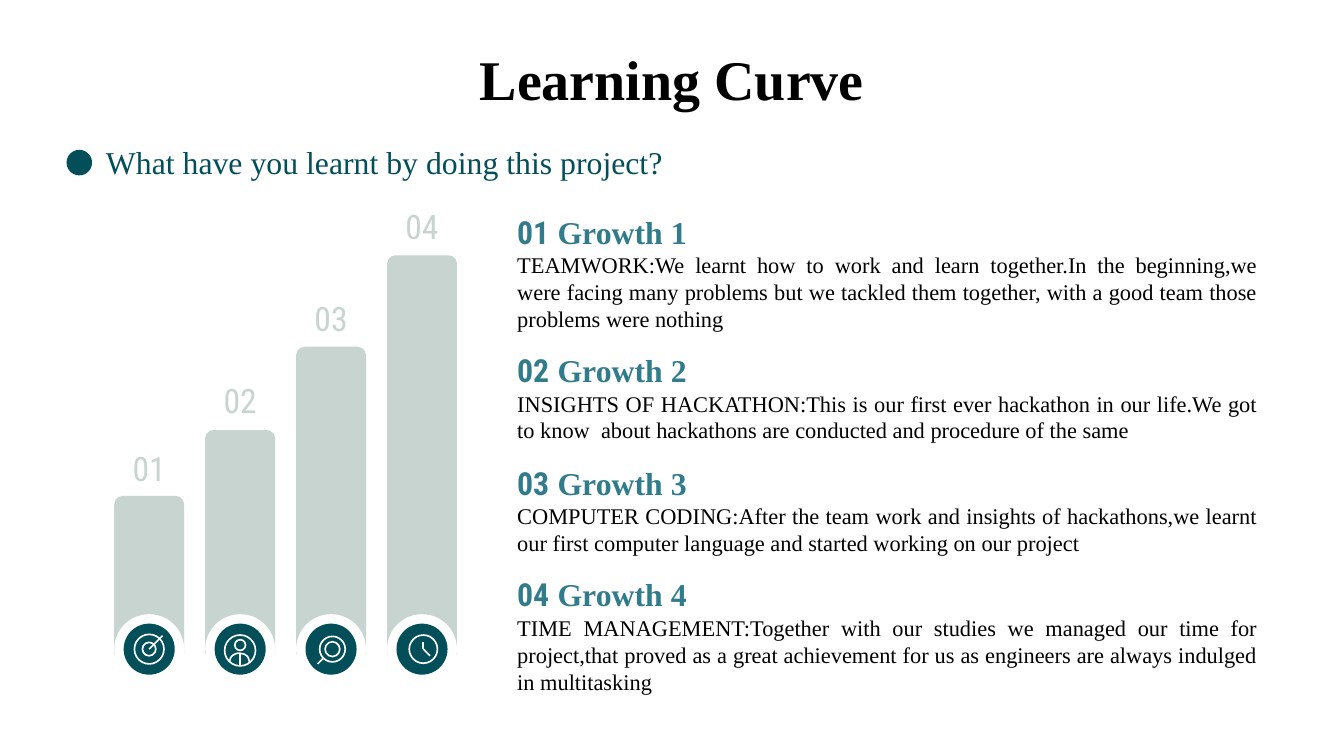
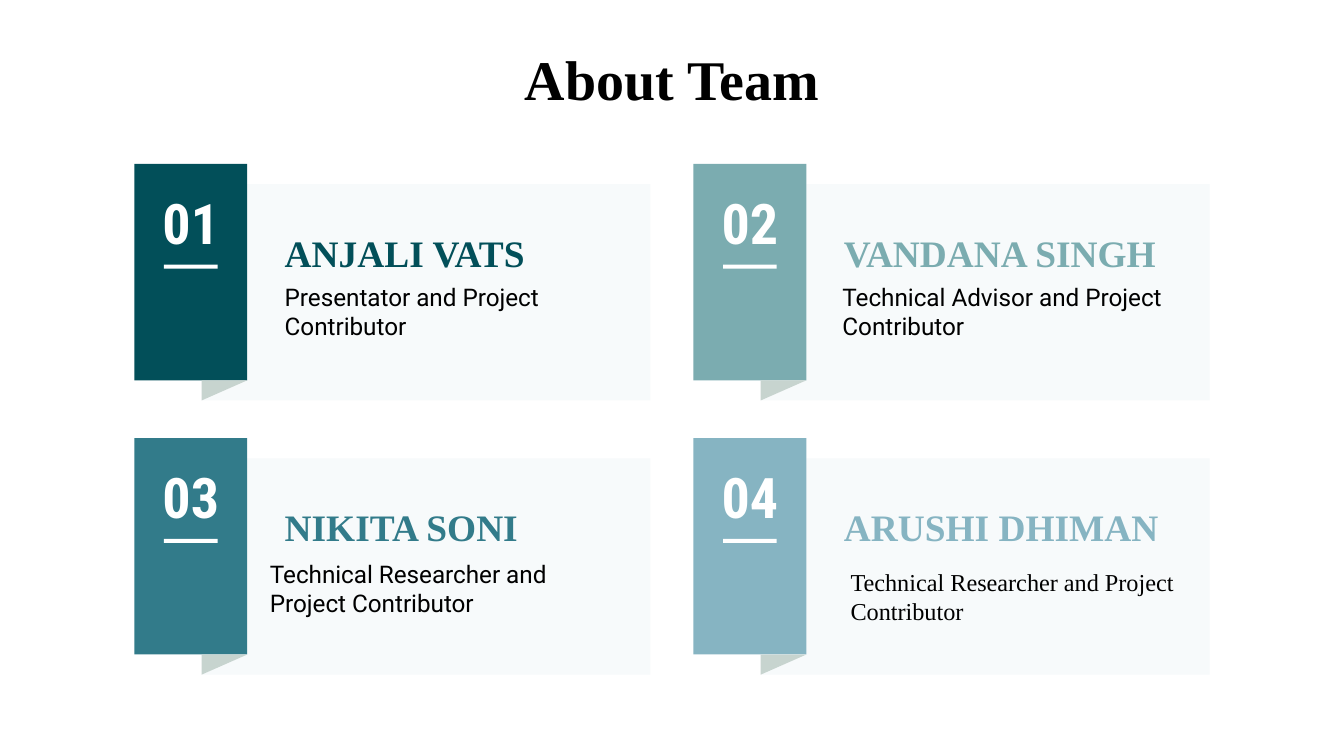
from lxml import etree
from pptx import Presentation
from pptx.dml.color import RGBColor
from pptx.enum.shapes import MSO_CONNECTOR, MSO_SHAPE
from pptx.enum.text import MSO_ANCHOR, PP_ALIGN as ALIGN
from pptx.oxml.ns import qn
from pptx.util import Inches, Pt

WIDTH = Inches(10)
HEIGHT = WIDTH * 9 // 16
SERIF, SANS, CONDENSED = "Times New Roman", "Roboto", "Roboto Condensed"
BLACK, WHITE, DARK, TEAL = "000000", "FFFFFF", "024F59", "327B8A"
SAGE, MIST, PALE, SKY = "C7D4CF", "F7FAFB", "7BACB0", "86B4C2"

QUESTION = "What have you learnt by doing this project?"
GROWTHS = [
    ("TEAMWORK:We learnt how to work and learn together.In the beginning,we were facing "
     "many problems but we tackled them together, with a good team those problems were nothing", 1.48),
    ("INSIGHTS OF HACKATHON:This is our first ever hackathon in our life.We got to know  about "
     "hackathons are conducted and procedure of the same", 2.51),
    ("COMPUTER CODING:After the team work and insights of hackathons,we learnt our first "
     "computer language and started working on our project", 3.35),
    ("TIME MANAGEMENT:Together with our studies we managed our time for project,that proved as a "
     "great achievement for us as engineers are always indulged in multitasking", 4.18),
]
BARS = [(3.69, 3.23), (3.2, 2.73), (2.58, 2.12), (1.9, 1.43)]
BAR_LEFT, BAR_RIGHT, BAR_WIDTH, BAR_BOTTOM = 0.85, 2.88, 0.52, 4.87
BAR_STEP = (BAR_RIGHT - BAR_LEFT) / (len(BARS) - 1)
ICON_Y = 4.83
ICONS = [
    {"rings": [(0, 0, 0.22), (0, 0, 0.1)], "lines": [(0, 0, 0.1, -0.1)]},
    {"rings": [(0, -0.03, 0.08), (0, 0.01, 0.23)], "lines": [(0, 0.12, 0, 0.03)],
     "shoulders": (-0.08, 0.03, 0.15, 0.13)},
    {"rings": [(0.01, 0, 0.19), (0.01, 0, 0.11)], "lines": [(-0.1, 0.11, -0.06, 0.07)]},
    {"rings": [(0.01, 0, 0.21)], "lines": [(0.01, 0, 0.06, 0.05), (0.01, -0.05, 0.01, 0)]},
]

TEAM = [
    ("ANJALI VATS", "Presentator and Project Contributor", DARK, SANS, 1.02, 0.78),
    ("VANDANA SINGH", "Technical Advisor and Project Contributor", PALE, SANS, 1.01, 0.78),
    ("NIKITA SONI", "Technical Researcher and Project Contributor", TEAL, SANS, 0.91, 0.8),
    ("ARUSHI DHIMAN", "Technical Researcher and Project Contributor", SKY, SERIF, 1.07, 0.86),
]
CARD_LEFT, CARD_TOP, CARD_STEP_X, CARD_STEP_Y = 1, 1.22, 4.16, 2.04
TAB_WIDTH, TAB_HEIGHT, FOLD_HEIGHT = 0.84, 1.61, 0.15


def color(value):
    return RGBColor.from_string(value)


def paint(shape, fill=None, line=None):
    shape.shadow.inherit = False
    if fill:
        shape.fill.solid()
        shape.fill.fore_color.rgb = color(fill)
    else:
        shape.fill.background()
    if line:
        shape.line.color.rgb = color(line)
        shape.line.width = Pt(0.88)
    else:
        shape.line.fill.background()
    return shape


def draw(shapes, kind, box, fill=None, line=None):
    return paint(shapes.add_shape(kind, *map(Inches, box)), fill, line)


def draw_disc(shapes, x, y, size, fill=None, line=None):
    return draw(shapes, MSO_SHAPE.OVAL, (x - size / 2, y - size / 2, size, size), fill, line)


def draw_outline(shapes, points, fill):
    corners = [(Inches(x), Inches(y)) for x, y in points]
    builder = shapes.build_freeform(*corners[0], scale=1.0)
    builder.add_line_segments(corners[1:], close=True)
    return paint(builder.convert_to_shape(), fill)


def draw_line(shapes, start, end):
    connector = shapes.add_connector(MSO_CONNECTOR.STRAIGHT, *map(Inches, start + end))
    connector.line.color.rgb = color(WHITE)
    connector.line.width = Pt(0.88)
    etree.SubElement(connector.element.spPr, qn("a:effectLst"))


def write(frame, text, size, font, ink, bold=False, align=ALIGN.LEFT):
    frame.word_wrap = True
    frame.margin_left = frame.margin_right = Inches(0.1)
    frame.margin_top = frame.margin_bottom = Inches(0.1)
    frame.vertical_anchor = MSO_ANCHOR.TOP
    paragraph = frame.paragraphs[0]
    paragraph.text = text
    paragraph.alignment = align
    paragraph.font.size = Pt(size)
    paragraph.font.name = font
    paragraph.font.bold = bold
    paragraph.font.color.rgb = color(ink)


def add_text(shapes, box, *style, **options):
    write(shapes.add_textbox(*map(Inches, box)).text_frame, *style, **options)


def add_titled_slide(presentation, text):
    slide = presentation.slides.add_slide(presentation.slide_layouts[5])
    title = slide.shapes.title
    title.left, title.top, title.width, title.height = map(Inches, (2.53, 0.23, 4.94, 0.68))
    write(title.text_frame, text, 30, SERIF, BLACK, bold=True, align=ALIGN.CENTER)
    return slide


def add_icon(shapes, x, icon):
    draw_disc(shapes, x, ICON_Y, 0.52, WHITE)
    draw_disc(shapes, x, ICON_Y, 0.38, DARK)
    for dx, dy, size in icon["rings"]:
        draw_disc(shapes, x + dx, ICON_Y + dy, size, line=WHITE)
    for x1, y1, x2, y2 in icon["lines"]:
        draw_line(shapes, (x + x1, ICON_Y + y1), (x + x2, ICON_Y + y2))
    if "shoulders" in icon:
        dx, dy, width, height = icon["shoulders"]
        arc = draw(shapes, MSO_SHAPE.ARC, (x + dx, ICON_Y + dy, width, height), line=WHITE)
        arc.adjustments[0], arc.adjustments[1] = 108, 0


def add_growth(shapes, number, text, top):
    add_text(shapes, (3.75, top, 0.44, 0.46), f"{number:02}", 17, CONDENSED, TEAL, bold=True)
    add_text(shapes, (4.05, top, 2.19, 0.46), f"Growth {number}", 17, SERIF, TEAL, bold=True)
    add_text(shapes, (3.75, top + 0.29, 5.71, 0.5), text, 12, SERIF, BLACK, align=ALIGN.JUSTIFY)


def build_learning(presentation):
    slide = add_titled_slide(presentation, "Learning Curve")
    shapes = slide.shapes
    draw_disc(shapes, 0.59, 1.21, 0.19, DARK)
    add_text(shapes, (0.69, 0.96, 6.54, 0.46), QUESTION, 17, SERIF, DARK)
    for index, ((top, label_top), icon) in enumerate(zip(BARS, ICONS)):
        left = BAR_LEFT + index * BAR_STEP
        bar = draw(shapes, MSO_SHAPE.ROUND_2_SAME_RECTANGLE,
                   (left, top, BAR_WIDTH, BAR_BOTTOM - top), SAGE)
        bar.adjustments[0] = 0.12
        add_icon(shapes, left + BAR_WIDTH / 2, icon)
        add_text(shapes, (left, label_top, BAR_WIDTH, 0.38), f"{index + 1:02}",
                 18, CONDENSED, SAGE, align=ALIGN.CENTER)
    for number, (text, top) in enumerate(GROWTHS, 1):
        add_growth(shapes.add_group_shape().shapes, number, text, top)


def add_member(shapes, index, name, role, accent, role_font, role_dx, role_dy):
    row, column = divmod(index, 2)
    left, top = CARD_LEFT + column * CARD_STEP_X, CARD_TOP + row * CARD_STEP_Y
    tab, fold, right = left + TAB_WIDTH, left + 0.5, left + 3.84
    tab_bottom = top + TAB_HEIGHT
    bottom = tab_bottom + FOLD_HEIGHT
    draw_outline(shapes, [(tab, top + FOLD_HEIGHT), (tab, tab_bottom), (fold, bottom),
                          (right, bottom), (right, top + FOLD_HEIGHT)], MIST)
    draw(shapes, MSO_SHAPE.RECTANGLE, (left, top, TAB_WIDTH, TAB_HEIGHT), accent)
    draw_outline(shapes, [(fold, tab_bottom), (fold, bottom), (tab, tab_bottom)], SAGE)
    add_text(shapes, (left, top + 0.08, TAB_WIDTH, 0.83), f"{index + 1:02}", 30, CONDENSED, WHITE,
             bold=True, align=ALIGN.CENTER)
    draw(shapes, MSO_SHAPE.RECTANGLE, (left + 0.22, top + 0.75, 0.4, 0.03), WHITE)
    add_text(shapes, (left + 1.02, top + 0.39, 2.65, 0.46), name, 20, SERIF, accent, bold=True)
    add_text(shapes, (left + role_dx, top + role_dy, 2.65, 0.64), role, 13, role_font, BLACK)


def build_team(presentation):
    slide = add_titled_slide(presentation, "About Team")
    for index, member in enumerate(TEAM):
        add_member(slide.shapes.add_group_shape().shapes, index, *member)


def main():
    presentation = Presentation()
    presentation.slide_width, presentation.slide_height = WIDTH, HEIGHT
    build_learning(presentation)
    build_team(presentation)
    presentation.save("out.pptx")


if __name__ == "__main__":
    main()
